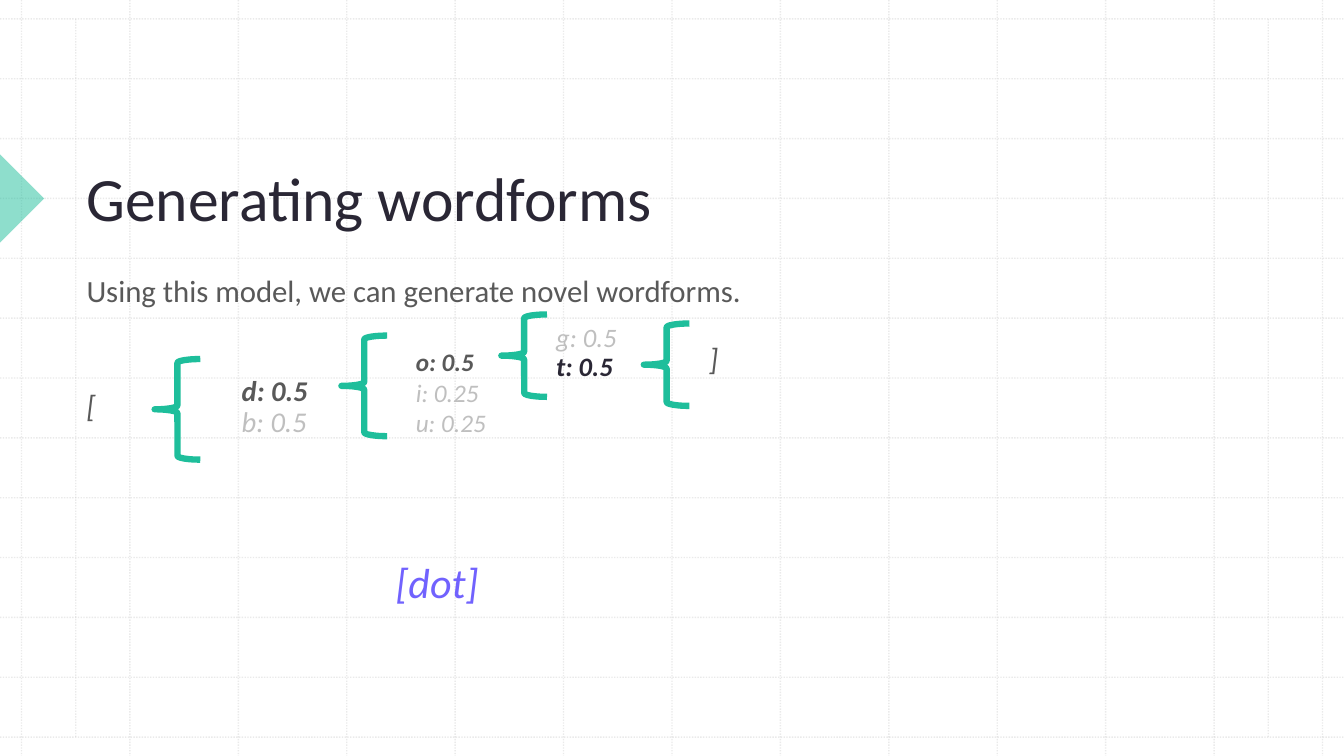
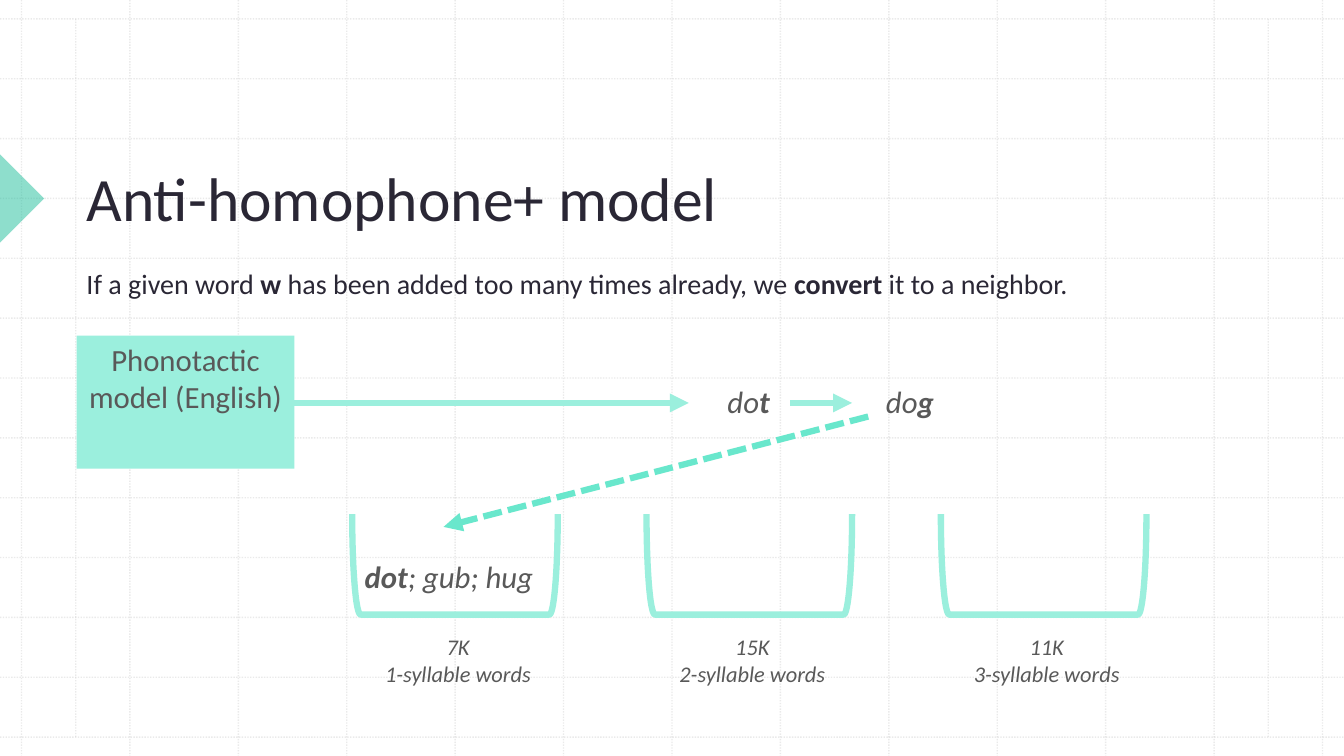
from dataclasses import dataclass

from lxml.etree import SubElement
from pptx import Presentation
from pptx.dml.color import RGBColor
from pptx.enum.dml import MSO_LINE_DASH_STYLE as Dash
from pptx.enum.shapes import MSO_CONNECTOR, MSO_SHAPE
from pptx.enum.text import MSO_ANCHOR as Anchor, PP_ALIGN as Align
from pptx.oxml.ns import qn
from pptx.util import Inches, Pt

W, H = Inches(13.33), Inches(7.5)
FONT = "Calibri"
INK = RGBColor(0x2A, 0x27, 0x35)
GRAY = RGBColor(0x59, 0x59, 0x59)
FADED = RGBColor(0xBF, 0xBF, 0xBF)
GRID = RGBColor(0xBC, 0xBC, 0xBC)
GREEN = RGBColor(0x1E, 0xBE, 0x9B)
MINT = RGBColor(0x9B, 0xEF, 0xDD)
AQUA = RGBColor(0x69, 0xE7, 0xCC)
VIOLET = RGBColor(0x71, 0x62, 0xFE)

MARGIN = 5.7
GRID_STEPS = 12
GRID_LEFT, GRID_TOP = 1.6, 2.5
COL = (100 - 2 * GRID_LEFT) / GRID_STEPS
ROW = (100 - 2 * GRID_TOP) / GRID_STEPS
HEAVY = 4.5


@dataclass(frozen=True)
class Box:
    """Left, top, width and height in percent of the slide."""
    x: float
    y: float
    w: float
    h: float

    def emu(self) -> tuple[int, int, int, int]:
        return across(self.x), down(self.y), across(self.w), down(self.h)


@dataclass(frozen=True)
class Run:
    text: str
    bold: bool = False


@dataclass(frozen=True)
class Para:
    runs: tuple[Run, ...]
    color: RGBColor = GRAY


@dataclass(frozen=True)
class Style:
    size: float = 22
    italic: bool = False
    align: Align = Align.LEFT
    spacing: float = 1.0
    anchor: Anchor = Anchor.TOP


@dataclass(frozen=True)
class Choices:
    """The sounds that may come next, stacked in one box."""
    box: Box
    style: Style
    paras: tuple[Para, ...]


@dataclass(frozen=True)
class Arrow:
    start: tuple[float, float]
    end: tuple[float, float]
    color: RGBColor = MINT
    dash: Dash | None = None


TITLE = Style(44, anchor=Anchor.BOTTOM)
PLAIN = Style()
SYMBOL = Style(italic=True)
WORD = Style(italic=True, align=Align.CENTER)


def across(percent: float) -> int:
    return round(W * percent / 100)


def down(percent: float) -> int:
    return round(H * percent / 100)


def para(text: str, color: RGBColor = GRAY, bold: bool = False) -> Para:
    return Para((Run(text, bold),), color)


def set_alpha(fill_parent, percent: int) -> None:
    color = next(fill_parent.iter(qn("a:srgbClr")))
    SubElement(color, qn("a:alpha"), val=str(percent * 1000))


def write(sp, style: Style, *paras: Para) -> None:
    tf = sp.text_frame
    tf.word_wrap = True
    tf.vertical_anchor = style.anchor
    for i, item in enumerate(paras):
        p = tf.paragraphs[0] if i == 0 else tf.add_paragraph()
        p.alignment = style.align
        p.line_spacing = style.spacing
        p.font.name, p.font.size = FONT, Pt(style.size)
        p.font.italic = style.italic
        p.font.color.rgb = item.color
        for run in item.runs:
            r = p.add_run()
            r.text = run.text
            r.font.bold = run.bold


def add_text(s, box: Box, style: Style, *paras: Para) -> None:
    write(s.shapes.add_textbox(*box.emu()), style, *paras)


def add_line(s, start: tuple[float, float], end: tuple[float, float],
             color: RGBColor, width: float, dash: Dash | None = None):
    line = s.shapes.add_connector(MSO_CONNECTOR.STRAIGHT, across(start[0]), down(start[1]),
                                  across(end[0]), down(end[1]))
    line.line.color.rgb = color
    line.line.width = Pt(width)
    if dash is not None:
        line.line.dash_style = dash
    SubElement(line._element.spPr, qn("a:effectLst"))
    return line


def add_arrow(s, arrow: Arrow) -> None:
    line = add_line(s, arrow.start, arrow.end, arrow.color, HEAVY, arrow.dash)
    SubElement(line.line._get_or_add_ln(), qn("a:tailEnd"), type="triangle")


def add_filled(s, kind: MSO_SHAPE, emu: tuple[int, int, int, int], color: RGBColor):
    sp = s.shapes.add_shape(kind, *emu)
    sp.shadow.inherit = False
    sp.fill.solid()
    sp.fill.fore_color.rgb = color
    sp.line.fill.background()
    return sp


def add_outline(s, kind: MSO_SHAPE, emu: tuple[int, int, int, int], color: RGBColor):
    sp = s.shapes.add_shape(kind, *emu)
    sp.shadow.inherit = False
    sp.fill.background()
    sp.line.color.rgb = color
    sp.line.width = Pt(HEAVY)
    return sp


def add_bucket(s, box: Box) -> None:
    """Draw a bracket turned so that it opens upwards."""
    x, y, w, h = box.emu()
    turned = (x + (w - h) // 2, y + (h - w) // 2, h, w)
    add_outline(s, MSO_SHAPE.RIGHT_BRACKET, turned, MINT).rotation = 90


def add_grid(s) -> None:
    lines = []
    for i in range(GRID_STEPS + 1):
        x, y = GRID_LEFT + i * COL, GRID_TOP + i * ROW
        lines += [((x, 0), (x, 100)), ((0, y), (100, y))]
    for x in (GRID_LEFT + COL / 2, 100 - GRID_LEFT - COL / 2):
        lines.append(((x, GRID_TOP), (x, 100 - GRID_TOP)))
    for start, end in lines:
        line = add_line(s, start, end, GRID, 1, Dash.ROUND_DOT)
        set_alpha(line._element.spPr, 30)


def add_base(prs, title: str):
    """Start a slide with the grid, the pointer and the title."""
    s = prs.slides.add_slide(prs.slide_layouts[6])
    add_grid(s)
    side = across(4.65)
    emu = (-side // 2, down(GRID_TOP + 3 * ROW) - side // 2, side, side)
    pointer = add_filled(s, MSO_SHAPE.RIGHT_TRIANGLE, emu, GREEN)
    pointer.rotation = 225
    set_alpha(pointer._element.spPr, 50)
    add_text(s, Box(MARGIN, 10.5, 84.7, 21.1), TITLE, para(title, INK))
    return s


def add_wordforms(prs) -> None:
    s = add_base(prs, "Generating wordforms")
    add_text(s, Box(MARGIN, 35.3, 92.5, 10), PLAIN,
             para("Using this model, we can generate novel wordforms."))
    for text, x, y in (("[", MARGIN, 50.5), ("]", 52, 44.3)):
        add_text(s, Box(x, y, 5.8, 7.1), SYMBOL, para(text))
    for x, y, h in ((11.5, 47.5, 13.3), (25.4, 44.4, 13.3),
                    (37.3, 41.6, 10.9), (47.9, 42.8, 10.9)):
        add_outline(s, MSO_SHAPE.LEFT_BRACE, Box(x, y, 3.4, h).emu(), GREEN)
    steps = (
        Choices(Box(17.25, 49.2, 8.2, 9.7), Style(20.4, True, spacing=0.9),
                (para("d: 0.5", bold=True), para("b: 0.5", FADED))),
        Choices(Box(30.2, 45.2, 15, 14.5), Style(18, True),
                (para("o: 0.5", bold=True), para("i: 0.25", FADED), para("u: 0.25", FADED))),
        Choices(Box(40.65, 42.3, 7.35, 9.7), Style(19, True, spacing=0.9),
                (para("g: 0.5", FADED), para("t: 0.5", INK, True))),
    )
    for step in steps:
        add_text(s, step.box, step.style, *step.paras)
    add_text(s, Box(25.4, 72.9, 14.25, 13.3), Style(30, True, Align.CENTER),
             para("[dot]", VIOLET))


def add_anti_homophone(prs) -> None:
    s = add_base(prs, "Anti-homophone+ model")
    add_text(s, Box(MARGIN, 34.1, 84.7, 10.4), Style(20, spacing=1.1), Para((
        Run("If a given word "), Run("w", True),
        Run(" has been added too many times already, we "),
        Run("convert", True), Run(" it to a neighbor.")), INK))

    pitch = 21.9
    for i, count in enumerate(("7K", "15K", "11K")):
        add_bucket(s, Box(26.2 + i * pitch, 68, 15.3, 13.3))
        add_text(s, Box(27.7 + i * pitch, 83.1, 12.75, 13.2), Style(16, True, Align.CENTER),
                 para(count), para(f"{i + 1}-syllable words"))

    model = add_filled(s, MSO_SHAPE.RECTANGLE, Box(MARGIN, 44.4, 16.2, 17.6).emu(), MINT)
    write(model, Style(align=Align.CENTER), para("Phonotactic model (English)"))

    for x, last in ((51.25, "t"), (63.25, "g")):
        add_text(s, Box(x, 50, 8.9, 6.5), WORD, Para((Run("do"), Run(last, True))))
    add_text(s, Box(25.3, 73.1, 16.2, 6.5), WORD,
             Para((Run("dot", True), Run("; gub; hug"))))

    flow = 53.3
    for arrow in (Arrow((21.9, flow), (51.25, flow)),
                  Arrow((58.8, flow), (63.4, flow)),
                  Arrow((64.6, 55.1), (33, 69.7), AQUA, Dash.SQUARE_DOT)):
        add_arrow(s, arrow)


def main() -> None:
    prs = Presentation()
    prs.slide_width, prs.slide_height = W, H
    add_wordforms(prs)
    add_anti_homophone(prs)
    prs.save("out.pptx")


if __name__ == "__main__":
    main()
